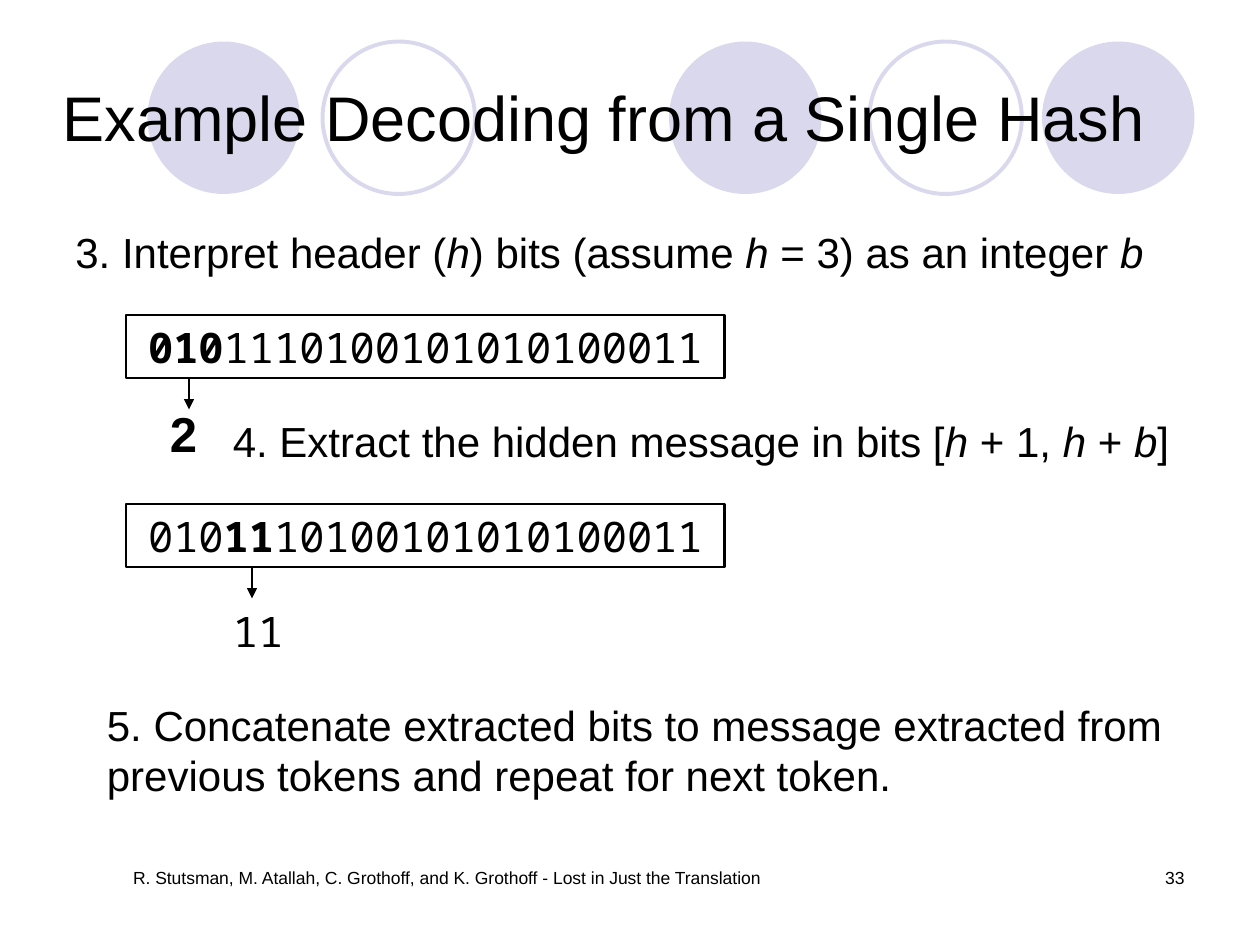
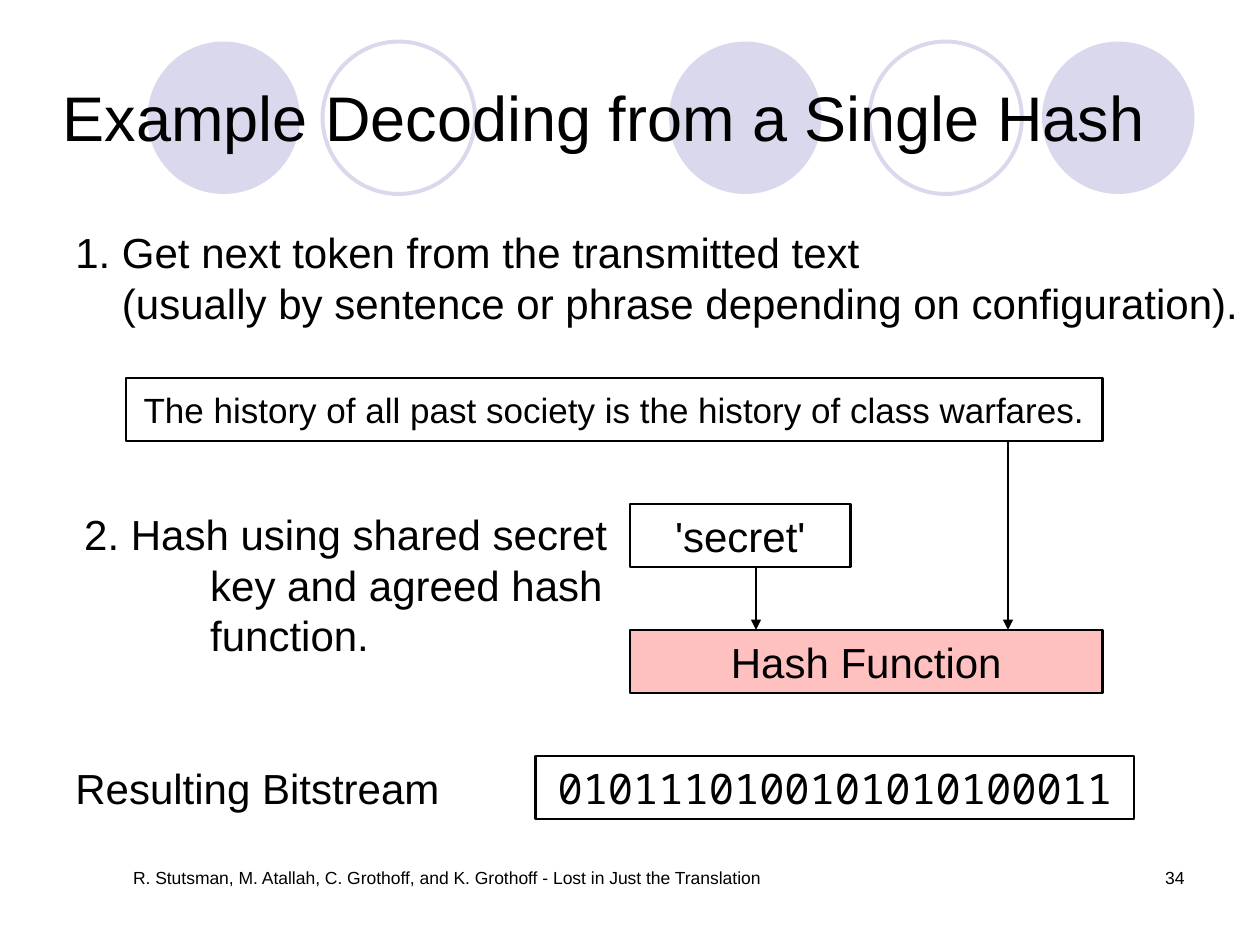
from pptx import Presentation
from pptx.dml.color import RGBColor
from pptx.enum.shapes import MSO_CONNECTOR as Link, MSO_SHAPE as Shape
from pptx.enum.text import MSO_ANCHOR as Anchor, PP_ALIGN as Align
from pptx.oxml.ns import qn
from pptx.util import Inches, Pt
from lxml.etree import SubElement

BLACK = RGBColor(0x00, 0x00, 0x00)
LILAC = RGBColor(0xD9, 0xD8, 0xEC)
PINK = RGBColor(0xFF, 0xC0, 0xC0)
SANS, MONO = "Arial", "Noto Sans Mono"
TITLE = "Example Decoding from a Single Hash"
CREDIT = ("R. Stutsman, M. Atallah, C. Grothoff, and K. Grothoff"
          " - Lost in Just the Translation")
DISCS, RINGS = (1.17, 5.31, 8.27), (2.56, 6.9)


def write(frame, lines, size=24, font=SANS, align=Align.LEFT, hang=0):
    """Fill a frame with lines of runs; a run is text or (text, style)."""
    frame.word_wrap = True
    for n, line in enumerate(lines):
        para = frame.paragraphs[0] if n == 0 else frame.add_paragraph()
        para.alignment = align
        if n and hang:
            para._p.get_or_add_pPr().set("marL", str(Inches(hang)))
        para.font.size, para.font.name = Pt(size), font
        para.font.color.rgb = BLACK
        for part in [line] if isinstance(line, str) else line:
            text, style = (part, "") if isinstance(part, str) else part
            run = para.add_run()
            run.text = text
            if style == "b":
                run.font.bold = True
            elif style == "i":
                run.font.italic = True


def label(slide, box, *lines, **look):
    """Add a plain text box."""
    frame = slide.shapes.add_textbox(*map(Inches, box)).text_frame
    write(frame, lines, **look)
    return frame


def panel(slide, box, line, fill=None, **look):
    """Add an outlined rectangle with centred text."""
    rect = slide.shapes.add_shape(Shape.RECTANGLE, *map(Inches, box))
    rect.shadow.inherit = False
    if fill is None:
        rect.fill.background()
    else:
        rect.fill.solid()
        rect.fill.fore_color.rgb = fill
    rect.line.color.rgb, rect.line.width = BLACK, Pt(1.45)
    rect.text_frame.vertical_anchor = Anchor.MIDDLE
    write(rect.text_frame, [line], align=Align.CENTER, **look)


def arrow(slide, x, top, drop):
    """Draw an arrow straight down."""
    ends = map(Inches, (x, top, x, top + drop))
    link = slide.shapes.add_connector(Link.STRAIGHT, *ends)
    link.line.color.rgb, link.line.width = BLACK, Pt(1.45)
    SubElement(link.line._get_or_add_ln(), qn("a:tailEnd"), type="triangle")
    SubElement(link._element.spPr, qn("a:effectLst"))


def circle(slide, x, solid):
    """Add one disc or ring of the title band."""
    spot = slide.shapes.add_shape(
        Shape.OVAL, *map(Inches, (x, 0.33, 1.21, 1.21)))
    spot.shadow.inherit = False
    if solid:
        spot.fill.solid()
        spot.fill.fore_color.rgb = LILAC
        spot.line.fill.background()
    else:
        spot.fill.background()
        spot.line.color.rgb, spot.line.width = LILAC, Pt(2.25)


def start(deck, number):
    """Add a slide with the circles, title and footer."""
    slide = deck.slides.add_slide(deck.slide_layouts[6])
    for x in DISCS + RINGS:
        circle(slide, x, x in DISCS)
    head = label(slide, (0.5, 0.3, 9, 1.25), TITLE, size=36)
    head.vertical_anchor = Anchor.MIDDLE
    head.margin_left = head.margin_right = 0
    head.margin_top = head.margin_bottom = 0
    label(slide, (0.51, 6.83, 6.07, 0.5), CREDIT, size=10, align=Align.CENTER)
    label(slide, (7.17, 6.83, 2.33, 0.5), str(number), size=10,
          align=Align.RIGHT)
    return slide


def stream(slide, x, y, bits, tip=None):
    """Draw a bit row, with an arrow below it at offset tip."""
    panel(slide, (x, y, 4.75, 0.5), bits, font=MONO)
    if tip is not None:
        arrow(slide, x + tip, y + 0.5, 0.25)


def header(slide, x, y):
    """Show step 3, reading the header bits."""
    label(slide, (x, y, 9.25, 0.5), [
        "3. Interpret header (", ("h", "i"), ") bits (assume ", ("h", "i"),
        " = 3) as an integer ", ("b", "i")])
    stream(slide, x + 0.5, y + 0.75, [("010", "b"), "1110100101010100011"],
           tip=0.5)
    label(slide, (x + 0.75, y + 1.4, 0.5, 0.53), [("2", "b")], size=28)


def extract(slide, x, y):
    """Show step 4, taking out the hidden bits."""
    label(slide, (x + 0.75, y, 8, 0.5), [
        "4. Extract the hidden message in bits [", ("h", "i"), " + 1, ",
        ("h ", "i"), "+ ", ("b", "i"), "]"])
    stream(slide, x, y + 0.75, ["010", ("11", "b"), "10100101010100011"],
           tip=1)
    label(slide, (x + 0.75, y + 1.51, 0.75, 0.49), "11", font=MONO)


def token(slide, x, y):
    """Show step 1, the next token."""
    label(slide, (x, y, 9.5, 0.84),
          "1. Get next token from the transmitted text",
          "(usually by sentence or phrase depending on configuration).",
          hang=0.37)
    panel(slide, (x + 0.5, y + 1.25, 7.75, 0.5),
          "The history of all past society is the history of class warfares.",
          size=20)


def hashing(slide, x, y):
    """Show step 2, the hash of token and key."""
    label(slide, (x, y - 0.01, 4.35, 1.21), "2. Hash using shared secret",
          "key and agreed hash", "function.", hang=1)
    left = x + 4.43
    panel(slide, (left, y, 1.75, 0.5), "'secret'")
    panel(slide, (left, y + 1, 3.75, 0.5), "Hash Function", fill=PINK)
    arrow(slide, left + 1, y + 0.5, 0.5)
    arrow(slide, left + 3, y - 0.5, 1.5)


def result(slide, x, y):
    """Show the resulting bitstream."""
    label(slide, (x, y, 3.5, 0.47), "Resulting Bitstream")
    stream(slide, x + 3.75, y, "0101110100101010100011")


def main():
    """Build and save both slides."""
    deck = Presentation()
    deck.slide_width, deck.slide_height = Inches(10), Inches(7.5)
    slide = start(deck, 33)
    header(slide, 0.5, 1.75)
    extract(slide, 1, 3.25)
    label(slide, (0.75, 5.5, 8.75, 0.84),
          "5. Concatenate extracted bits to message extracted from "
          "previous tokens and repeat for next token.")
    slide = start(deck, 34)
    token(slide, 0.5, 1.75)
    hashing(slide, 0.57, 4)
    result(slide, 0.5, 6)
    deck.save("out.pptx")


if __name__ == "__main__":
    main()
